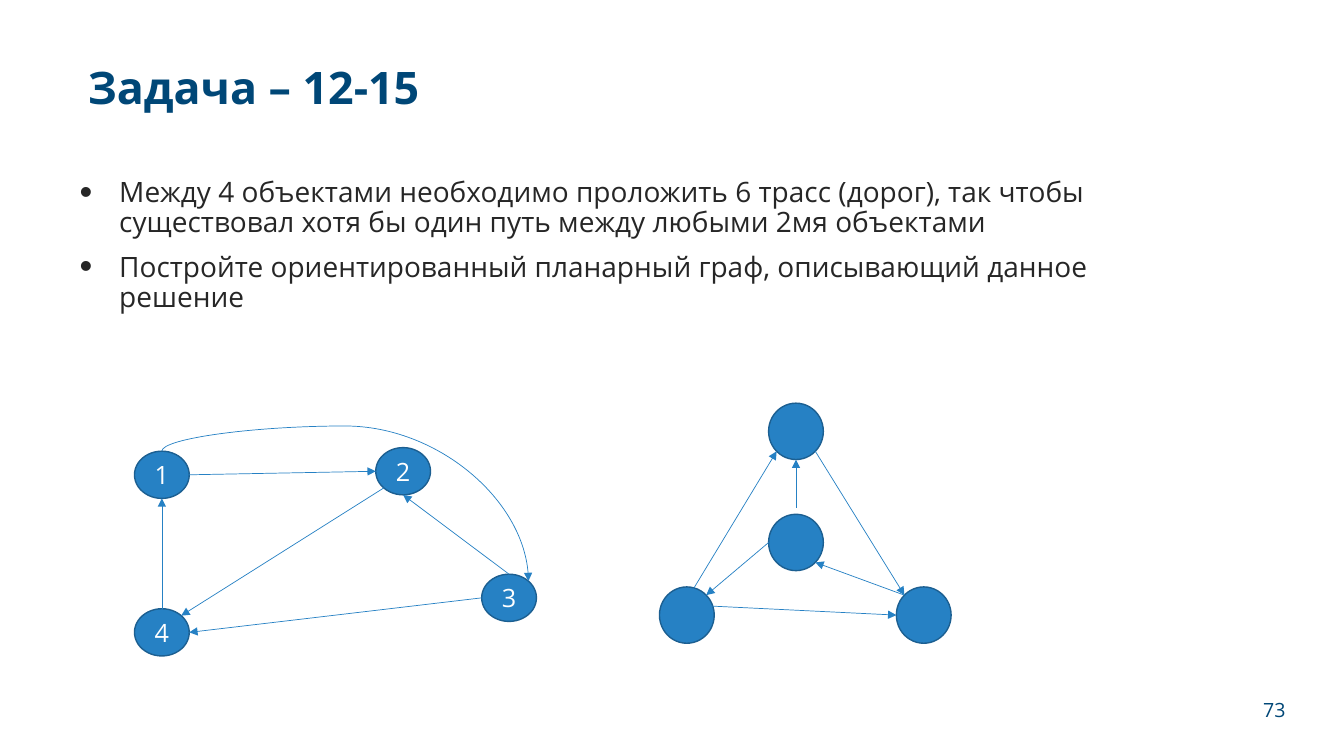
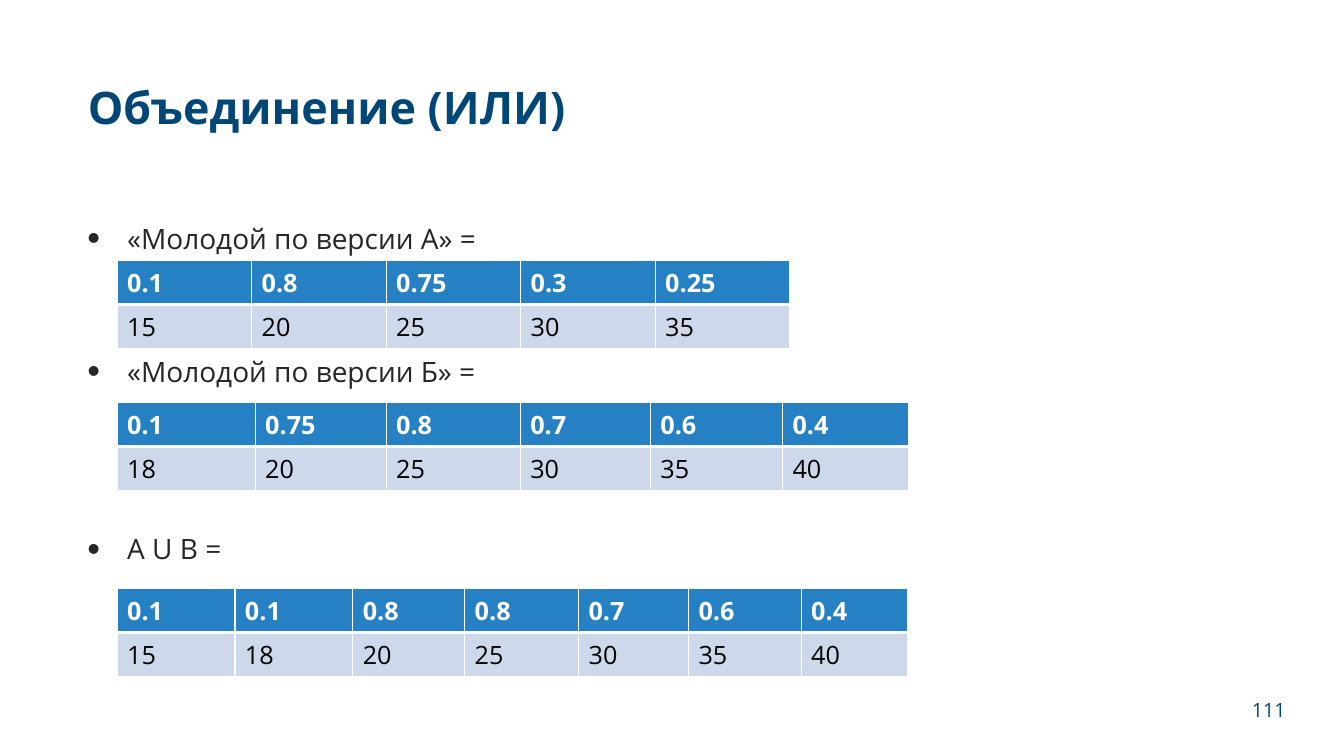
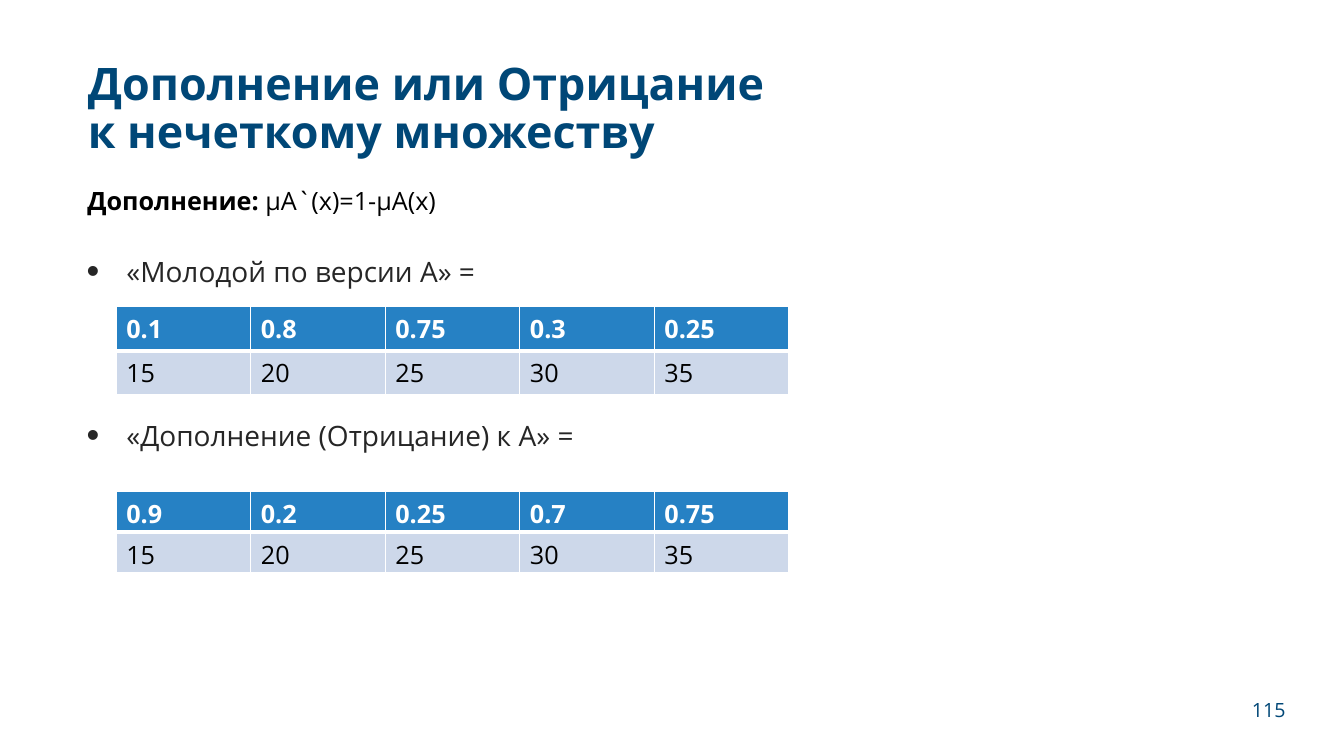
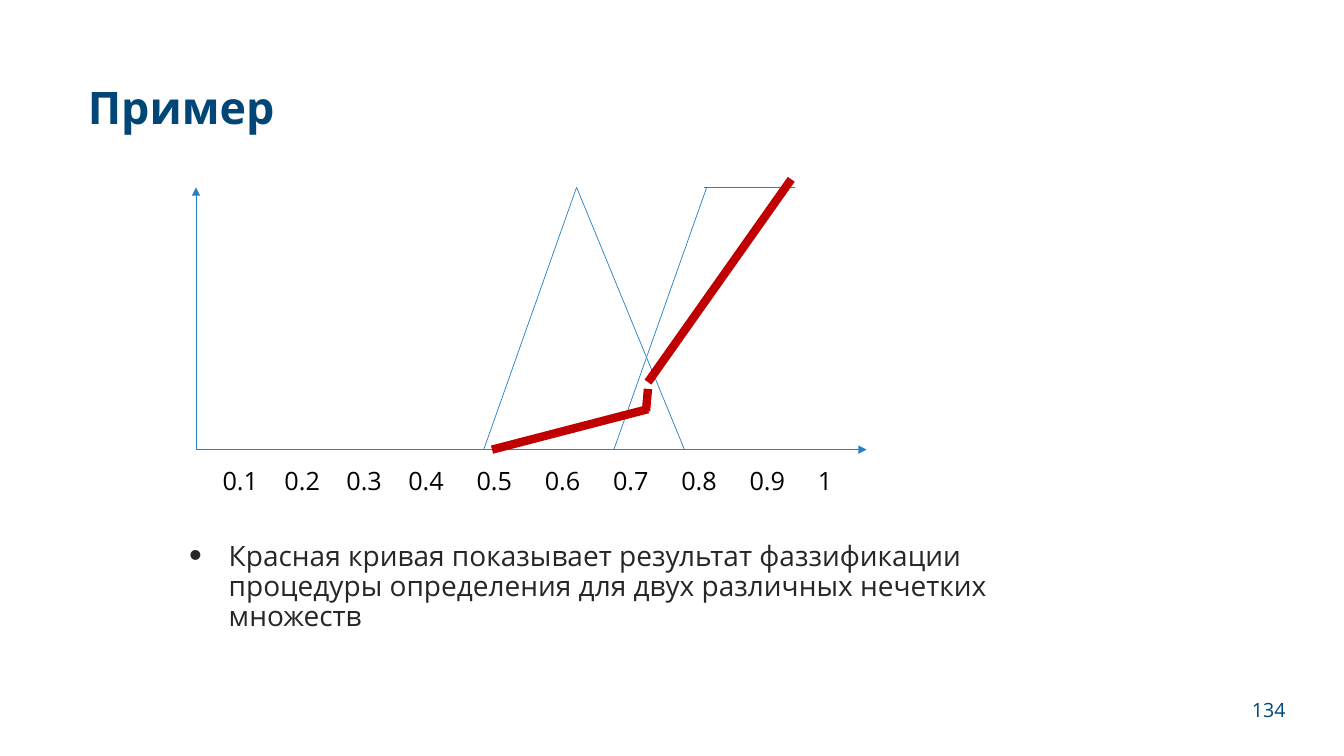
import math
from itertools import pairwise

import pptx
import pptx.dml.color
import pptx.enum.shapes
import pptx.enum.text
import pptx.oxml.ns
import pptx.util
from lxml import etree

Cm = pptx.util.Cm
Pt = pptx.util.Pt
RGBColor = pptx.dml.color.RGBColor
PP_ALIGN = pptx.enum.text.PP_ALIGN
MSO_ANCHOR = pptx.enum.text.MSO_ANCHOR
MSO_CONNECTOR = pptx.enum.shapes.MSO_CONNECTOR
qn = pptx.oxml.ns.qn

# Shared look
NAVY = RGBColor(0x00, 0x47, 0x77)
BLUE = RGBColor(0x26, 0x81, 0xC4)
DARK_BLUE = RGBColor(0x1C, 0x5F, 0x91)
PALE_BLUE = RGBColor(0xCD, 0xD8, 0xEA)
GRAPHITE = RGBColor(0x26, 0x26, 0x26)
BLACK = RGBColor(0x00, 0x00, 0x00)
WHITE = RGBColor(0xFF, 0xFF, 0xFF)
RED = RGBColor(0xC0, 0x00, 0x00)

FONT = "Open Sans"
TITLE_FORMAT = {"size": Pt(32), "bold": True}
BODY_FORMAT = {"size": Pt(20), "bold": False}
PLAIN_FORMAT = {"size": Pt(18), "bold": False}
STRONG_FORMAT = {"size": Pt(18), "bold": True}
NUMBER_FORMAT = {"size": Pt(14), "bold": False}

TITLE_HEIGHT = 3.51
ROW_HEIGHT = 1.11
EVEN_COLUMN = 3.39

# Connection sites of an ellipse, counted anticlockwise from the top
TOP, TOP_LEFT, LEFT, BOTTOM_LEFT, BOTTOM, BOTTOM_RIGHT, RIGHT, TOP_RIGHT = range(8)


# Text helpers
def set_values(target, values):
    for name, value in values.items():
        setattr(target, name, value)


def format_para(para, values, color):
    for span in para.runs:
        set_values(span.font, {"name": FONT, **values})
        span.font.color.rgb = color


def place(shape, left, top, width, height):
    set_values(shape, {"left": Cm(left), "top": Cm(top),
                       "width": Cm(width), "height": Cm(height)})


def add_text(page, area, text, values=PLAIN_FORMAT, color=BLACK):
    box = page.shapes.add_textbox(*map(Cm, area))
    box.text_frame.word_wrap = True
    para = box.text_frame.paragraphs[0]
    para.text = text
    format_para(para, values, color)
    return box


def add_bullet_mark(para):
    properties = para._p.get_or_add_pPr()
    properties.set("marL", str(Cm(1)))
    properties.set("indent", str(-Cm(1)))
    etree.SubElement(properties, qn("a:buSzPct"), val="130000")
    etree.SubElement(properties, qn("a:buFont"), typeface="Arial")
    etree.SubElement(properties, qn("a:buChar"), char="•")


# Page parts
def add_page(deck, title, number, title_height=TITLE_HEIGHT):
    page = deck.slides.add_slide(deck.slide_layouts[1])
    heading = page.shapes.title
    place(heading, 1.96, 1.02, 26.01, title_height)
    set_values(heading.text_frame, {
        "text": title, "word_wrap": True, "vertical_anchor": MSO_ANCHOR.MIDDLE,
        "auto_size": pptx.enum.text.MSO_AUTO_SIZE.NONE})
    para = heading.text_frame.paragraphs[0]
    set_values(para, {"alignment": PP_ALIGN.LEFT, "line_spacing": 0.9})
    format_para(para, TITLE_FORMAT, NAVY)

    box = add_text(page, (30.64, 17.39, 2.01, 0.99), number, NUMBER_FORMAT, NAVY)
    box.text_frame.vertical_anchor = MSO_ANCHOR.MIDDLE
    box.text_frame.paragraphs[0].alignment = PP_ALIGN.RIGHT
    return page


def fill_body(page, area, items, line_spacing=0.9):
    """Each item is its text and the space before it in points."""
    body = page.placeholders[1]
    place(body, *area)
    frame = body.text_frame
    frame.auto_size = pptx.enum.text.MSO_AUTO_SIZE.NONE
    for index, (text, gap) in enumerate(items):
        para = frame.add_paragraph() if index else frame.paragraphs[0]
        para.text = text
        add_bullet_mark(para)
        set_values(para, {"line_spacing": line_spacing, "space_before": Pt(gap)})
        format_para(para, BODY_FORMAT, GRAPHITE)


def add_border(cell, tag, weight):
    border = etree.Element(qn(tag), w=str(Pt(weight)))
    fill = etree.SubElement(border, qn("a:solidFill"))
    etree.SubElement(fill, qn("a:srgbClr"), val=str(WHITE))
    cell._tc.get_or_add_tcPr().insert(0, border)


def add_set_table(page, left, top, grades, ages, widths=None, row_height=ROW_HEIGHT):
    """A fuzzy set: membership grades above ages."""
    grades, ages = grades.split(), ages.split()
    widths = widths or [EVEN_COLUMN] * len(grades)
    table = page.shapes.add_table(2, len(grades), Cm(left), Cm(top),
                                  Cm(sum(widths)), Cm(2 * row_height)).table
    for column, width in zip(table.columns, widths):
        column.width = Cm(width)
    styles = ((grades, BLUE, STRONG_FORMAT, WHITE, "a:lnB"),
              (ages, PALE_BLUE, PLAIN_FORMAT, BLACK, "a:lnT"))
    for row, (texts, fill, values, color, inner_border) in enumerate(styles):
        table.rows[row].height = Cm(row_height)
        for column, text in enumerate(texts):
            cell = table.cell(row, column)
            cell.text = text
            cell.fill.solid()
            cell.fill.fore_color.rgb = fill
            add_border(cell, inner_border, 3)
            format_para(cell.text_frame.paragraphs[0], values, color)


# Graph parts
def add_node(page, left, top, width, height, label=""):
    node = page.shapes.add_shape(pptx.enum.shapes.MSO_SHAPE.OVAL,
                                 *map(Cm, (left, top, width, height)))
    node.shadow.inherit = False
    node.fill.solid()
    node.fill.fore_color.rgb = BLUE
    node.line.color.rgb = DARK_BLUE
    node.line.width = Pt(1)
    if label:
        node.text_frame.vertical_anchor = MSO_ANCHOR.MIDDLE
        para = node.text_frame.paragraphs[0]
        para.text = label
        para.alignment = PP_ALIGN.CENTER
        format_para(para, PLAIN_FORMAT, WHITE)
    return node


def site_point(node, site):
    angle = math.radians(45 * site)
    return (round(node.left + node.width / 2 * (1 - math.sin(angle))),
            round(node.top + node.height / 2 * (1 - math.cos(angle))))


def style_line(connector, color=BLUE, weight=0.5, arrow=False):
    connector.line.color.rgb = color
    connector.line.width = Pt(weight)
    properties = connector._element.spPr
    if arrow:
        etree.SubElement(properties.find(qn("a:ln")), qn("a:tailEnd"), type="triangle")
    etree.SubElement(properties, qn("a:effectLst"))


def add_line(page, start, end, **style):
    connector = page.shapes.add_connector(MSO_CONNECTOR.STRAIGHT,
                                          *map(Cm, (*start, *end)))
    style_line(connector, **style)


def join(connector, tag, node, site):
    links = connector._element.find(qn("p:nvCxnSpPr")).find(qn("p:cNvCxnSpPr"))
    etree.SubElement(links, qn(tag), id=str(node.shape_id), idx=str(site))


def add_edge(page, start, end):
    """Arrow to a node site, from a node site or from a free point in cm."""
    from_node = not isinstance(start[0], (int, float))
    begin = site_point(*start) if from_node else tuple(map(Cm, start))
    connector = page.shapes.add_connector(MSO_CONNECTOR.STRAIGHT,
                                          *begin, *site_point(*end))
    if from_node:
        join(connector, "a:stCxn", *start)
    join(connector, "a:endCxn", *end)
    style_line(connector, arrow=True)


def add_arc_edge(page, start, end, bulge):
    """Curved arrow that leaves upwards: a flipped curve turned by 270 degrees."""
    (x1, y1), (x2, y2) = site_point(*start), site_point(*end)
    middle_x, middle_y = (x1 + x2) // 2, (y1 + y2) // 2
    half_run, half_drop = (x2 - x1) // 2, (y2 - y1) // 2
    connector = page.shapes.add_connector(
        MSO_CONNECTOR.CURVE, middle_x + half_drop, middle_y - half_run,
        middle_x - half_drop, middle_y + half_run)
    properties = connector._element.spPr
    properties.find(qn("a:xfrm")).set("rot", str(270 * 60000))
    guides = properties.find(qn("a:prstGeom")).find(qn("a:avLst"))
    etree.SubElement(guides, qn("a:gd"), name="adj1", fmla=f"val {-bulge}")
    join(connector, "a:stCxn", *start)
    join(connector, "a:endCxn", *end)
    style_line(connector, arrow=True)


# Slides
def build_graph_page(deck):
    page = add_page(deck, "Задача – 12-15", "73", title_height=2.51)
    fill_body(page, (1.75, 4.37, 25.98, 4.47), [
        ("Между 4 объектами необходимо проложить 6 трасс (дорог), так чтобы "
         "существовал хотя бы один путь между любыми 2мя объектами", 0),
        ("Постройте ориентированный планарный граф, описывающий данное решение", 10)])

    # Numbered graph
    one, four, three, two = [
        add_node(page, left, top, 1.38, 1.19, label) for left, top, label in (
            (3.39, 11.37, "1"), (3.39, 15.34, "4"),
            (12.14, 14.47, "3"), (9.47, 11.28, "2"))]
    for start, end in (((one, RIGHT), (two, LEFT)),
                       ((two, BOTTOM_LEFT), (four, TOP_RIGHT)),
                       ((three, LEFT), (four, RIGHT)),
                       ((four, TOP), (one, BOTTOM)),
                       ((three, TOP), (two, BOTTOM))):
        add_edge(page, start, end)
    add_arc_edge(page, (one, TOP), (three, TOP_RIGHT), bulge=19400)

    # Triangular graph
    apex, centre, right, left = [
        add_node(page, x, y, 1.38, 1.42) for x, y in (
            (19.37, 10.16), (19.37, 12.96), (22.59, 14.79), (16.62, 14.79))]
    for start, end in (((17.48, 14.83), (apex, BOTTOM_LEFT)),
                       ((17.88, 15.27), (right, LEFT)),
                       ((apex, BOTTOM_RIGHT), (right, TOP_LEFT)),
                       ((centre, LEFT), (left, TOP_RIGHT)),
                       ((20.06, 12.8), (apex, BOTTOM)),
                       ((right, TOP_LEFT), (centre, BOTTOM_RIGHT))):
        add_edge(page, start, end)


def build_union_page(deck):
    page = add_page(deck, "Объединение (ИЛИ)", "111")
    fill_body(page, (1.95, 5.54, 21.89, 10.34), [
        ("«Молодой по версии А» =", 0),
        ("«Молодой по версии Б» =", 73.5),
        ("A U B =", 105)])
    add_set_table(page, 2.95, 6.56, "0.1 0.8 0.75 0.3 0.25", "15 20 25 30 35")
    add_set_table(page, 2.95, 10.14, "0.1 0.75 0.8 0.7 0.6 0.4", "18 20 25 30 35 40",
                  [3.48, 3.3, 3.38, 3.28, 3.33, 3.18])
    add_set_table(page, 2.95, 14.83, "0.1 0.1 0.8 0.8 0.7 0.6 0.4",
                  "15 18 20 25 30 35 40",
                  [2.97, 2.97, 2.82, 2.87, 2.77, 2.84, 2.69])


def build_complement_page(deck):
    page = add_page(deck, "Дополнение или Отрицание\vк нечеткому множеству", "115")
    fill_body(page, (1.93, 6.45, 21.89, 9.75), [
        ("«Молодой по версии А» =", 0),
        ("«Дополнение (Отрицание) к А» =", 98)], line_spacing=0.8)
    ages = "15 20 25 30 35"
    add_set_table(page, 2.93, 7.73, "0.1 0.8 0.75 0.3 0.25", ages)
    rule = add_text(page, (1.95, 4.55, 18.16, 1.02), "Дополнение:", STRONG_FORMAT)
    span = rule.text_frame.paragraphs[0].add_run()
    span.text = " μA`(x)=1-μA(x)"
    set_values(span.font, {"name": FONT, **PLAIN_FORMAT})
    span.font.color.rgb = BLACK
    add_set_table(page, 2.93, 12.38, "0.9 0.2 0.25 0.7 0.75", ages, row_height=1.03)


def build_example_page(deck):
    page = add_page(deck, "Пример", "134")
    fill_body(page, (4.51, 13.53, 21.89, 3.18), [
        ("Красная кривая показывает результат фаззификации процедуры определения "
         "для двух различных нечетких множеств", 0)])

    # Axes and their scale
    base, peak = 11.33, 4.72
    origin = (4.94, base)
    for end in ((4.94, peak), (21.84, base)):
        add_line(page, origin, end, arrow=True)
    labels = [f"0.{tenth}" for tenth in range(1, 10)] + ["1"]
    scale = add_text(page, (5.36, 11.61, 16.46, 1.02), "\t".join(labels))
    properties = scale.text_frame.paragraphs[0]._p.get_or_add_pPr()
    stops = etree.SubElement(properties, qn("a:tabLst"))
    for index in range(1, len(labels)):
        position = 1.56 * min(index, 3) + 1.72 * max(index - 3, 0)
        etree.SubElement(stops, qn("a:tab"), pos=str(Cm(position)), algn="l")

    # Two membership functions
    for points in (((12.19, base), (14.53, peak), (17.25, base)),
                   ((15.47, base), (17.81, peak)),
                   ((17.75, peak), (20.04, peak))):
        for start, end in pairwise(points):
            add_line(page, start, end)

    # Resulting curve
    for start, end in (((12.4, base), (16.33, 10.31)),
                       ((16.28, 10.36), (16.33, 9.8)),
                       ((16.33, 9.63), (19.94, 4.52))):
        add_line(page, start, end, color=RED, weight=6)


def main():
    deck = pptx.Presentation()
    deck.slide_width, deck.slide_height = Cm(33.87), Cm(19.05)
    build_graph_page(deck)
    build_union_page(deck)
    build_complement_page(deck)
    build_example_page(deck)
    deck.save("out.pptx")


if __name__ == "__main__":
    main()
